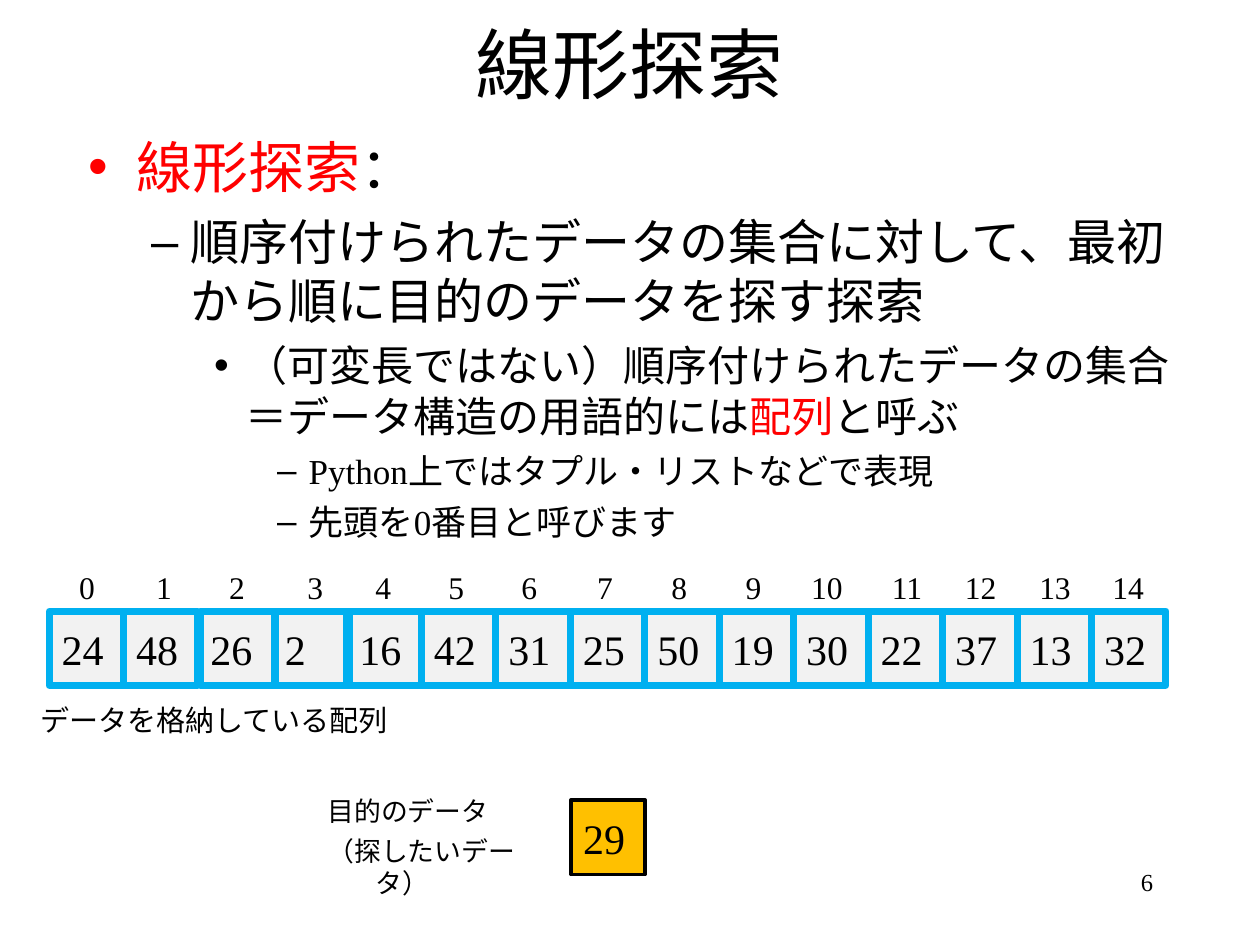
import lxml.etree
import pptx
import pptx.dml.color
import pptx.enum.shapes
import pptx.enum.text
import pptx.oxml.ns
import pptx.util

FACE = "Times New Roman"
BLACK, RED, BLUE = "000000", "FF0000", "00B0F0"
GREY, GOLD = "F2F2F2", "FFC000"
SIDE, PITCH = 0.59, 0.591
LEFT, TOP = 0.39, 4.85
DATA = [24, 48, 26, 2, 16, 42, 31, 25, 50, 19, 30, 22, 37, 13, 32]
# Left edges of the index labels, which are set by hand
MARKS = [0.53, 1.14, 1.72, 2.34, 2.88, 3.46, 4.04, 4.64,
         5.23, 5.82, 6.34, 6.98, 7.56, 8.15, 8.73]

# Outline level: hang, bullet, size, space before
LEVELS = [
    dict(left=0.38, hang=0.38, mark="•", size=32, gap=8),
    dict(left=0.81, hang=0.31, mark="–", size=28, gap=7),
    dict(left=1.25, hang=0.25, mark="•", size=24, gap=6),
    dict(left=1.75, hang=0.25, mark="–", size=20, gap=5),
]
POINTS = [
    (0, [("線形探索", RED), ("：", BLACK)]),
    (1, [("順序付けられたデータの集合に対して、最初から順に目的のデータを探す探索", BLACK)]),
    (2, [("（可変長ではない）順序付けられたデータの集合＝データ構造の用語的には", BLACK),
         ("配列", RED), ("と呼ぶ", BLACK)]),
    (3, [("Python上ではタプル・リストなどで表現", BLACK)]),
    (3, [("先頭を0番目と呼びます", BLACK)]),
]


def tint(code):
    return pptx.dml.color.RGBColor.from_string(code)


def span(*nums):
    return [pptx.util.Inches(num) for num in nums]


def apply(thing, vals):
    for name, val in vals.items():
        setattr(thing, name, val)


def place(shape, *area):
    apply(shape, dict(zip(("left", "top", "width", "height"), span(*area))))


def write(para, text, size, code=BLACK):
    run = para.add_run()
    run.text = text
    apply(run.font, {"name": FACE, "size": pptx.util.Pt(size)})
    run.font.color.rgb = tint(code)


def indent(para, left, hang):
    props = para._p.get_or_add_pPr()
    props.set("marL", str(pptx.util.Inches(left)))
    props.set("indent", str(-pptx.util.Inches(hang)))
    return props


def bullet(para, level, code):
    props = indent(para, level["left"], level["hang"])
    hue = lxml.etree.SubElement(props, pptx.oxml.ns.qn("a:buClr"))
    lxml.etree.SubElement(hue, pptx.oxml.ns.qn("a:srgbClr"), val=code)
    lxml.etree.SubElement(props, pptx.oxml.ns.qn("a:buChar"), char=level["mark"])


def head(slide, text):
    title = slide.shapes.title
    place(title, 0.75, 0, 8.5, 1)
    apply(title.text_frame, {
        "vertical_anchor": pptx.enum.text.MSO_ANCHOR.MIDDLE,
        "auto_size": pptx.enum.text.MSO_AUTO_SIZE.NONE})
    para = title.text_frame.paragraphs[0]
    para.alignment = pptx.enum.text.PP_ALIGN.CENTER
    write(para, text, 44)


def outline(slide):
    body = slide.placeholders[1]
    place(body, 0.6, 1, 9.05, 3.69)
    frame = body.text_frame
    frame.auto_size = pptx.enum.text.MSO_AUTO_SIZE.NONE
    for num, (depth, runs) in enumerate(POINTS):
        para = frame.add_paragraph() if num else frame.paragraphs[0]
        level = LEVELS[depth]
        bullet(para, level, runs[0][1])
        apply(para, {"level": depth,
                     "space_before": pptx.util.Pt(level["gap"] if num else 0)})
        for text, code in runs:
            write(para, text, level["size"], code)


def label(slide, area, lines, size, hang=0, align="LEFT"):
    frame = slide.shapes.add_textbox(*span(*area)).text_frame
    frame.word_wrap = True
    for num, line in enumerate(lines):
        para = frame.add_paragraph() if num else frame.paragraphs[0]
        indent(para, hang, hang)
        apply(para, {"alignment": pptx.enum.text.PP_ALIGN[align],
                     "space_before": pptx.util.Pt(4.5 if num else 0)})
        write(para, line, size)


def square(slide, left, top, edge, width):
    box = slide.shapes.add_shape(
        pptx.enum.shapes.MSO_SHAPE.RECTANGLE, *span(left, top, SIDE, SIDE))
    box.shadow.inherit = False
    box.line.color.rgb = tint(edge)
    box.line.width = pptx.util.Pt(width)
    return box


def cell(slide, left, top, text, code):
    box = square(slide, left, top, BLACK, 2)
    box.fill.solid()
    box.fill.fore_color.rgb = tint(code)
    apply(box.text_frame, {
        "word_wrap": False,
        "vertical_anchor": pptx.enum.text.MSO_ANCHOR.MIDDLE})
    para = box.text_frame.paragraphs[0]
    para.alignment = pptx.enum.text.PP_ALIGN.LEFT
    write(para, text, 24)


def array(slide):
    lefts = [LEFT + num * PITCH for num in range(len(DATA))]
    for left, val in zip(lefts, DATA):
        cell(slide, left, TOP, str(val), GREY)
    # Blue frames; two of them sit slightly to the right
    for num, left in enumerate(lefts):
        shift = 0.02 if num in (2, 3) else 0
        square(slide, left + shift, TOP, BLUE, 4).fill.background()
    for num, left in enumerate(MARKS):
        width = 0.39 if num < 10 else 0.47
        label(slide, (left, 4.46, width, 0.41), [str(num)], 18)


def main():
    deck = pptx.Presentation()
    deck.slide_width, deck.slide_height = span(10, 7.5)
    slide = deck.slides.add_slide(deck.slide_layouts[1])

    # Title and outline
    head(slide, "線形探索")
    outline(slide)

    # Array with its indexes and caption
    array(slide)
    label(slide, (0.22, 5.53, 3.19, 0.46), ["データを格納している配列"], 16.6, 0.38)

    # Target value
    cell(slide, 4.53, 6.35, "29", GOLD)
    label(slide, (2.5, 6.26, 2.08, 0.77),
          ["目的のデータ", "（探したいデータ）"], 15.3, 0.38)

    # Page number
    label(slide, (7.17, 6.83, 2.08, 0.5), ["6"], 14, align="RIGHT")
    deck.save("out.pptx")


if __name__ == "__main__":
    main()
